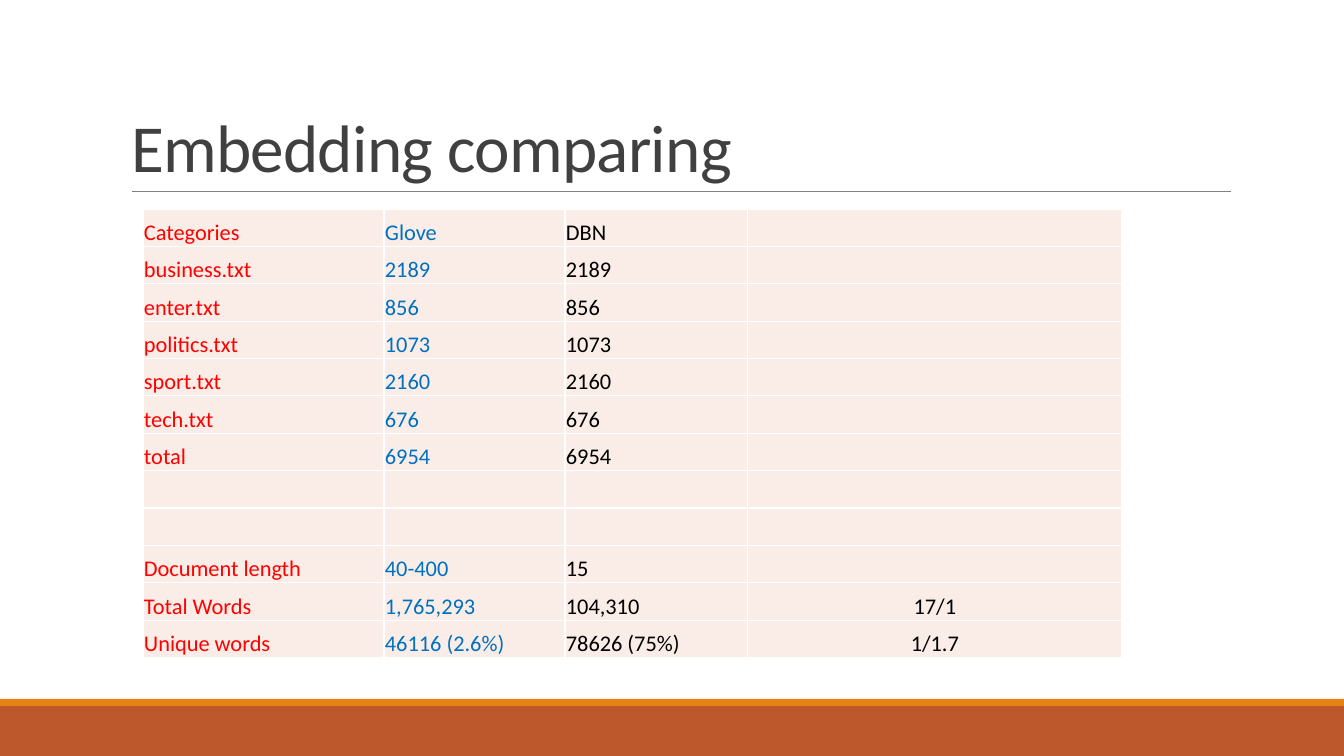
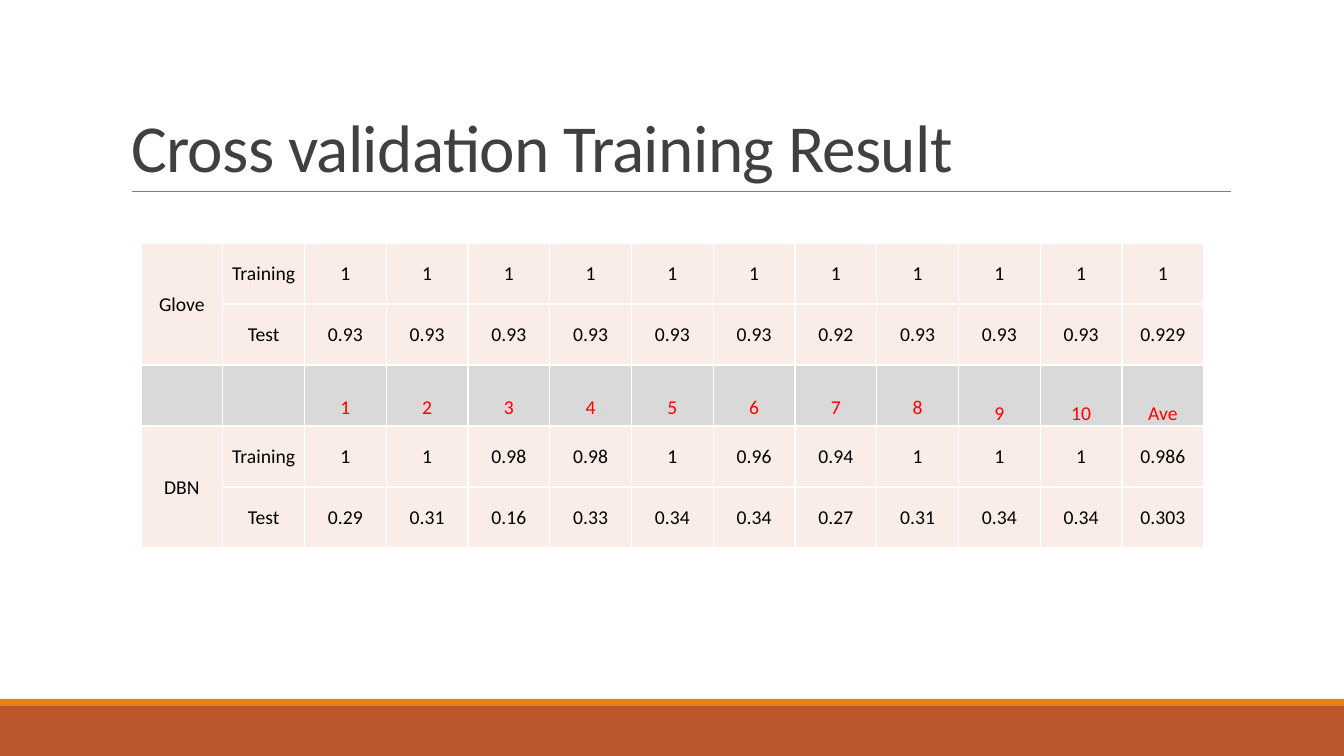
import pptx
import pptx.dml.color
import pptx.enum.shapes
import pptx.enum.text
import pptx.oxml
import pptx.oxml.ns
import pptx.util

SLIDE_W, SLIDE_H = 1344, 756
EMU_PER_PX = 914400 / 100.8
FONT = "Calibri"
RUST, ORANGE, RULE_GREY, TITLE_GREY = "BD582C", "E48312", "808080", "404040"
BLUSH, SILVER, WHITE = "FAEDE7", "D9D9D9", "FFFFFF"
RED, BLUE, BLACK = "FF0000", "0070C0", "000000"
ANCHOR = pptx.enum.text.MSO_ANCHOR
ALIGN = pptx.enum.text.PP_ALIGN

CORPUS_ROWS = [
    ["Categories", "Glove", "DBN", ""],
    ["business.txt", "2189", "2189", ""],
    ["enter.txt", "856", "856", ""],
    ["politics.txt", "1073", "1073", ""],
    ["sport.txt", "2160", "2160", ""],
    ["tech.txt", "676", "676", ""],
    ["total", "6954", "6954", ""],
    [""] * 4,
    [""] * 4,
    ["Document length", "40-400", "15", ""],
    ["Total Words", "1,765,293", "104,310", "17/1"],
    ["Unique words", "46116 (2.6%)", "78626 (75%)", "1/1.7"],
]
FOLD_ROW = 2
RESULT_ROWS = [
    ["Glove", "Training"] + ["1"] * 11,
    ["", "Test"] + ["0.93"] * 6 + ["0.92"] + ["0.93"] * 3 + ["0.929"],
    ["", ""] + [str(fold) for fold in range(1, 11)] + ["Ave"],
    ["DBN", "Training", "1", "1", "0.98", "0.98", "1", "0.96", "0.94",
     "1", "1", "1", "0.986"],
    ["", "Test", "0.29", "0.31", "0.16", "0.33", "0.34", "0.34", "0.27",
     "0.31", "0.34", "0.34", "0.303"],
]


def px(length):
    return pptx.util.Emu(round(length * EMU_PER_PX))


def rgb(value):
    return pptx.dml.color.RGBColor.from_string(value)


def style_font(paragraph, size, color):
    paragraph.font.name = FONT
    paragraph.font.size = pptx.util.Pt(size)
    paragraph.font.color.rgb = rgb(color)


def add_band(slide, top, height, color):
    band = slide.shapes.add_shape(
        pptx.enum.shapes.MSO_SHAPE.RECTANGLE, 0, px(top), px(SLIDE_W), px(height))
    band.shadow.inherit = False
    band.fill.solid()
    band.fill.fore_color.rgb = rgb(color)
    band.line.fill.background()
    return band


def add_title_rule(slide, left, right, y):
    rule = slide.shapes.add_connector(
        pptx.enum.shapes.MSO_CONNECTOR.STRAIGHT, px(left), px(y), px(right), px(y))
    rule.line.color.rgb = rgb(RULE_GREY)
    rule.line.width = pptx.util.Pt(0.5)
    properties = rule.element.find(pptx.oxml.ns.qn("p:spPr"))
    properties.append(pptx.oxml.parse_xml(
        f"<a:effectLst {pptx.oxml.ns.nsdecls('a')}/>"))
    return rule


def move_to_layout(layout, parts):
    """Let every slide of the layout show the same parts."""
    for part in parts:
        layout.shapes.element.append(part.element)


def place_title(slide, text):
    title = slide.shapes.title
    title.left, title.top, title.width, title.height = map(px, (121, 31, 1109, 160))
    frame = title.text_frame
    frame.text = text
    frame.word_wrap = True
    frame.auto_size = pptx.enum.text.MSO_AUTO_SIZE.NONE
    frame.vertical_anchor = ANCHOR.BOTTOM
    heading = frame.paragraphs[0]
    heading.alignment = ALIGN.LEFT
    heading.line_spacing = 0.85
    style_font(heading, 48, TITLE_GREY)
    for defaults in title.element.iter(pptx.oxml.ns.qn("a:defRPr")):
        defaults.set("spc", "-50")


def add_cell_borders(cell):
    properties = cell._tc.get_or_add_tcPr()
    for side in ("lnL", "lnR", "lnT", "lnB"):
        properties.append(pptx.oxml.parse_xml(
            f"<a:{side} {pptx.oxml.ns.nsdecls('a')} w='12700'><a:solidFill>"
            f"<a:srgbClr val='{WHITE}'/></a:solidFill></a:{side}>"))


def fill_cell(cell, text, size, color, fill, align, anchor, top_margin=1):
    add_cell_borders(cell)
    cell.fill.solid()
    cell.fill.fore_color.rgb = rgb(fill)
    cell.margin_left = cell.margin_right = px(1)
    cell.margin_top, cell.margin_bottom = px(top_margin), 0
    cell.vertical_anchor = anchor
    cell.text = text
    paragraph = cell.text_frame.paragraphs[0]
    paragraph.alignment = align
    style_font(paragraph, size, color)


def add_grid(slide, box, rows, column_shares):
    """Add a plain table; columns share the box by weight, rows equally."""
    left, top, width, height = box
    grid = slide.shapes.add_table(
        len(rows), len(column_shares), *map(px, box)).table
    grid.first_row = grid.horz_banding = False
    for column, share in zip(grid.columns, column_shares):
        column.width = px(width * share / sum(column_shares))
    for row in grid.rows:
        row.height = px(height / len(rows))
    return grid


def add_corpus_table(slide, box):
    grid = add_grid(slide, box, CORPUS_ROWS, (241, 181, 183, 374))
    column_styles = [(RED, ALIGN.LEFT), (BLUE, ALIGN.LEFT),
                     (BLACK, ALIGN.LEFT), (BLACK, ALIGN.CENTER)]
    for r, row in enumerate(CORPUS_ROWS):
        for c, (text, (color, align)) in enumerate(zip(row, column_styles)):
            fill_cell(grid.cell(r, c), text, 16, color, BLUSH, align, ANCHOR.BOTTOM)


def add_result_table(slide, box):
    grid = add_grid(slide, box, RESULT_ROWS, [1] * 13)
    for r, row in enumerate(RESULT_ROWS):
        is_fold = r == FOLD_ROW
        color, fill = (RED, SILVER) if is_fold else (BLACK, BLUSH)
        for c, text in enumerate(row):
            # The last three fold labels sit at the foot of their cells
            at_foot = is_fold and c >= 10
            fill_cell(grid.cell(r, c), text, 14, color, fill, ALIGN.CENTER,
                      ANCHOR.BOTTOM if at_foot else ANCHOR.MIDDLE,
                      25 if is_fold and not at_foot else 1)
    # Model names span their training and test rows
    for first in (0, FOLD_ROW + 1):
        grid.cell(first, 0).merge(grid.cell(first + 1, 0))


def main():
    deck = pptx.Presentation()
    deck.slide_width, deck.slide_height = px(SLIDE_W), px(SLIDE_H)
    layout = deck.slide_layouts[5]

    # Embedding comparison
    comparison = deck.slides.add_slide(layout)
    move_to_layout(layout, [
        add_band(comparison, 706, 50, RUST),
        add_band(comparison, 699, 7, ORANGE),
        add_title_rule(comparison, 132, 1231, 191),
    ])
    place_title(comparison, "Embedding comparing")
    add_corpus_table(comparison, (143, 209, 979, 449))

    # Cross validation scores
    validation = deck.slides.add_slide(layout)
    place_title(validation, "Cross validation Training Result")
    add_result_table(validation, (141, 243, 1063, 305))

    deck.save("out.pptx")


if __name__ == "__main__":
    main()
